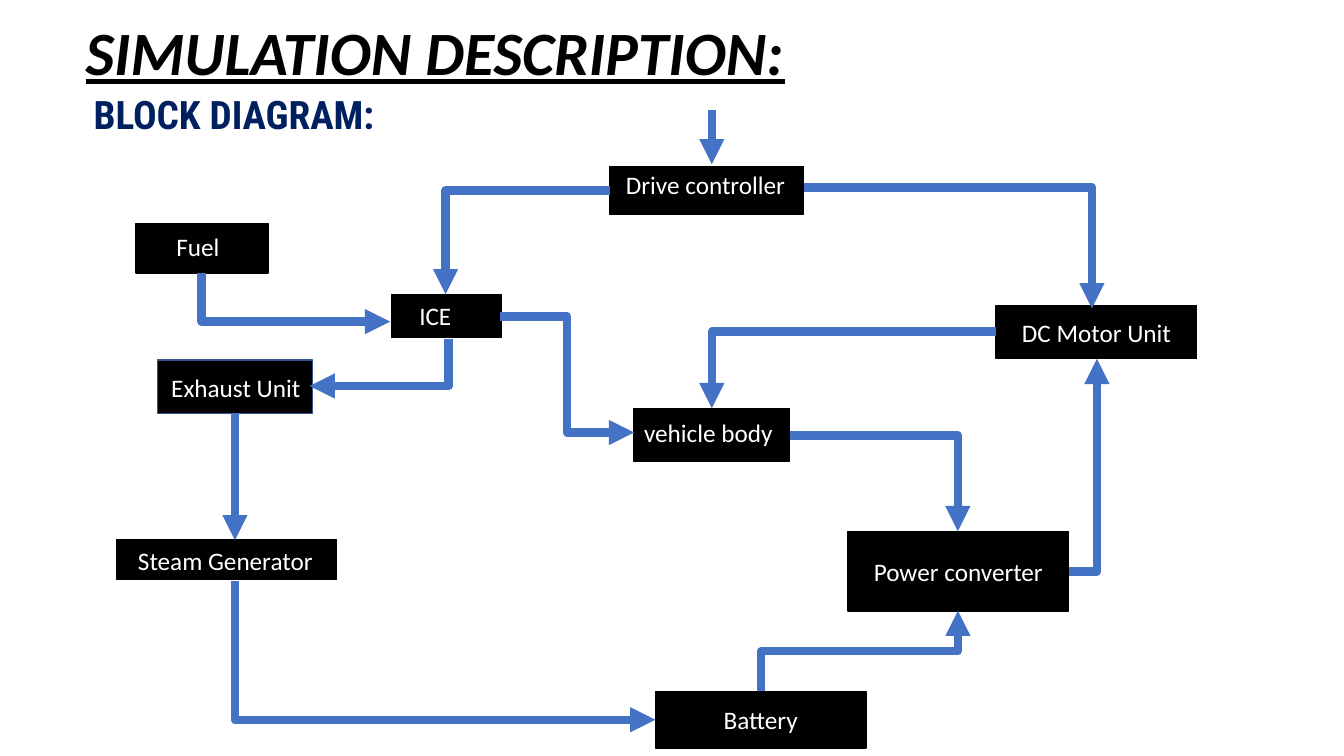
from lxml.etree import SubElement
from pptx import Presentation
from pptx.dml.color import RGBColor
from pptx.enum.shapes import MSO_CONNECTOR as Link, MSO_SHAPE as Preset
from pptx.enum.text import MSO_ANCHOR as Anchor, PP_ALIGN as Align
from pptx.oxml.ns import qn
from pptx.util import Inches, Pt

BLACK, WHITE, NAVY, BLUE = "000000", "FFFFFF", "002060", "4472C4"

BLOCKS = {
    "drive": (6.05, 1.65, 1.92, 0.48),
    "vehicle": (6.29, 4.05, 1.54, 0.53),
    "motor": (9.88, 3.03, 1.99, 0.53),
    "exhaust": (1.56, 3.57, 1.54, 0.53),
    "engine": (3.88, 2.92, 1.09, 0.43),
    "fuel": (1.35, 2.22, 1.31, 0.49),
    "steam": (1.16, 5.35, 2.18, 0.4),
    "converter": (8.41, 5.27, 2.19, 0.79),
    "battery": (6.5, 6.86, 2.09, 0.56),
}
CENTRED = {
    "motor": "DC Motor Unit",
    "converter": "Power converter",
    "battery": "Battery",
}
LABELS = {
    "drive": ("Drive controller", 6.11, 1.63, 1.9),
    "vehicle": ("vehicle body", 6.29, 4.09, 1.66),
    "engine": ("ICE", 4.06, 2.93, 0.89),
    "fuel": ("Fuel", 1.65, 2.25, 0.72),
    "exhaust": ("Exhaust Unit", 1.6, 3.64, 1.54),
    "steam": ("Steam Generator", 1.27, 5.36, 2.21),
}
ACROSS_FIRST = [
    (6.05, 1.89, 4.42, 2.92, 2),
    (7.97, 1.86, 10.83, 3.06, 2),
    (7.84, 4.32, 9.5, 5.27, 2),
    (10.6, 5.67, 10.88, 3.56, 2),
    (9.88, 3.29, 7.06, 4.05, 2),
    (4.96, 3.14, 6.29, 4.29, 3),
]
DOWN_FIRST = [
    (2, 2.71, 3.87, 3.19, 2),
    (7.55, 6.86, 9.5, 6.06, 3),
    (2.33, 5.76, 6.5, 7.14, 2),
    (4.45, 3.36, 3.07, 3.83, 2),
]


def colour(value):
    """Turn a hex string into a colour."""
    return RGBColor.from_string(value)


def add_span(para, text, size=18, font="Calibri", ink=WHITE, bold=False):
    """Add one formatted run to a paragraph."""
    span = para.add_run()
    span.text = text
    span.font.size = Pt(size)
    span.font.name = font
    span.font.bold = bold
    span.font.color.rgb = colour(ink)
    return span


def add_text(page, left, top, width, height):
    """Add a wrapping text box and return it."""
    box = page.shapes.add_textbox(*map(Inches, (left, top, width, height)))
    box.text_frame.word_wrap = True
    return box


def add_headings(page):
    """Add the title and the subtitle."""
    box = add_text(page, 0.75, 0.08, 11.5, 0.94)
    box.text_frame.vertical_anchor = Anchor.MIDDLE
    para = box.text_frame.paragraphs[0]
    para.line_spacing = 0.9
    span = add_span(para, "SIMULATION DESCRIPTION:", 44, ink=BLACK, bold=True)
    span.font.italic = span.font.underline = True
    box = add_text(page, 0.83, 0.9, 11.5, 0.53)
    para = box.text_frame.paragraphs[0]
    para.line_spacing = 0.9
    para.space_before = Pt(10)
    add_span(para, "BLOCK DIAGRAM:", 28, "Roboto Condensed", NAVY, True)


def add_block(page, place, edge=BLACK, text=None):
    """Add a black rectangle with optional centred text."""
    box = page.shapes.add_shape(Preset.RECTANGLE, *map(Inches, place))
    box.shadow.inherit = False
    box.fill.solid()
    box.fill.fore_color.rgb = colour(BLACK)
    box.line.color.rgb = colour(edge)
    box.line.width = Pt(1)
    if text:
        box.text_frame.vertical_anchor = Anchor.MIDDLE
        para = box.text_frame.paragraphs[0]
        para.alignment = Align.CENTER
        add_span(para, text)
    return box


def add_label(page, text, left, top, width):
    """Add a white label over a block."""
    box = add_text(page, left, top, width, 0.4)
    add_span(box.text_frame.paragraphs[0], text)
    return box


def add_arrow(page, x1, y1, x2, y2, kind=Link.STRAIGHT):
    """Add a thick blue arrow."""
    arrow = page.shapes.add_connector(kind, *map(Inches, (x1, y1, x2, y2)))
    arrow.line.color.rgb = colour(BLUE)
    arrow.line.width = Pt(6)
    properties = arrow._element.spPr
    SubElement(properties.find(qn("a:ln")), qn("a:tailEnd"), type="triangle")
    SubElement(properties, qn("a:effectLst"))
    return arrow


def add_elbow(page, x1, y1, x2, y2, segments, down_first=False):
    """Add a bent arrow, turned a quarter when it starts vertically."""
    if down_first:
        middle_x, middle_y = (x1 + x2) / 2, (y1 + y2) / 2
        half_x, half_y = (x2 - x1) / 2, (y2 - y1) / 2
        x1, x2 = middle_x - half_y, middle_x + half_y
        y1, y2 = middle_y + half_x, middle_y - half_x
    arrow = add_arrow(page, x1, y1, x2, y2, Link.ELBOW)
    properties = arrow._element.spPr
    properties.find(qn("a:prstGeom")).set("prst", f"bentConnector{segments}")
    if down_first:
        properties.find(qn("a:xfrm")).set("rot", str(90 * 60000))


def main():
    """Build the block diagram slide."""
    deck = Presentation()
    deck.slide_width, deck.slide_height = Inches(13.33), Inches(7.5)
    page = deck.slides.add_slide(deck.slide_layouts[6])
    add_headings(page)
    blocks = {}
    for name, place in BLOCKS.items():
        edge = "325491" if name == "exhaust" else BLACK
        blocks[name] = add_block(page, place, edge, CENTRED.get(name))
    labels = {name: add_label(page, *label) for name, label in LABELS.items()}
    for route in ACROSS_FIRST:
        add_elbow(page, *route)
    for route in DOWN_FIRST:
        add_elbow(page, *route, down_first=True)
    add_arrow(page, 2.33, 4.1, 2.33, 5.36).begin_connect(blocks["exhaust"], 2)
    add_arrow(page, 7.06, 1.09, 7.06, 1.63).end_connect(labels["drive"], 0)
    deck.save("out.pptx")


if __name__ == "__main__":
    main()
